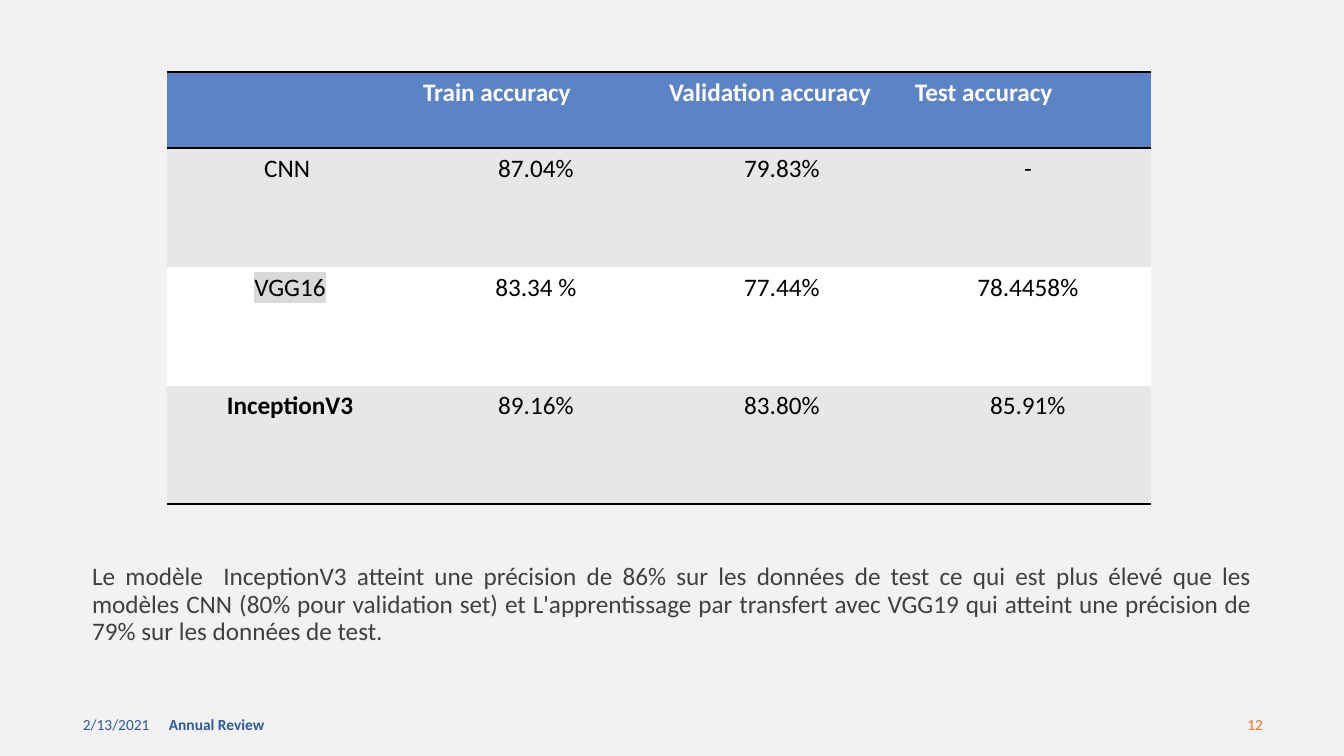
from dataclasses import dataclass

from lxml.etree import SubElement
from pptx import Presentation
from pptx.dml.color import RGBColor
from pptx.enum.text import MSO_ANCHOR, MSO_AUTO_SIZE, PP_ALIGN
from pptx.oxml.ns import qn
from pptx.util import Emu, Pt


@dataclass(frozen=True)
class Theme:
    font: str = "Calibri"
    text_size: int = 18
    footer_size: int = 11
    background: str = "F2F2F2"
    header: str = "5C83C4"
    band: str = "E7E7E7"
    plain: str = "FFFFFF"
    ink: str = "000000"
    body: str = "404040"
    footer: str = "2C599D"
    number: str = "FA6F1A"
    highlight: str = "D9D9D9"
    rule_width: int = 2


theme = Theme()
NO_GRID_STYLE = "{2D5ABB26-0587-4C30-8999-92F81FD0307C}"


def px(length):
    return Emu(round(length * 12192000 / 1344))


def write(frame, text, size, color, bold=False, align=PP_ALIGN.LEFT):
    frame.text = text
    paragraph = frame.paragraphs[0]
    paragraph.alignment = align
    for run in paragraph.runs:
        run.font.name = theme.font
        run.font.size = Pt(size)
        run.font.bold = bold
        run.font.color.rgb = RGBColor.from_string(color)
    return paragraph


presentation = Presentation()
presentation.slide_width = px(1344)
presentation.slide_height = px(756)
slide = presentation.slides.add_slide(presentation.slide_layouts[1])
slide.background.fill.solid()
slide.background.fill.fore_color.rgb = RGBColor.from_string(theme.background)
title = slide.shapes.title
title.element.getparent().remove(title.element)

footers = [
    (73, 302, "2/13/2021", theme.footer, False, PP_ALIGN.LEFT),
    (159, 454, "Annual Review", theme.footer, True, PP_ALIGN.LEFT),
    (971, 302, "12", theme.number, False, PP_ALIGN.RIGHT),
]
for left, width, text, color, bold, align in footers:
    footer = slide.shapes.add_textbox(px(left), px(704), px(width), px(40)).text_frame
    footer.word_wrap = True
    footer.vertical_anchor = MSO_ANCHOR.MIDDLE
    write(footer, text, theme.footer_size, color, bold, align)

accuracies = [
    ("", "Train accuracy", "Validation accuracy", "Test accuracy"),
    ("CNN ", "87.04%", "79.83%", "-"),
    ("VGG16", "83.34 %", "77.44%", "78.4458%"),
    ("InceptionV3", "89.16%", "83.80%", "85.91%"),
]
row_heights = [76, 119, 119, 118]
row_fills = [theme.header, theme.band, theme.plain, theme.band]
row_rules = [("a:lnT", "a:lnB"), (), (), ("a:lnB",)]

comparison = slide.shapes.add_table(4, 4, px(167), px(72), px(984), px(432)).table
comparison._tbl.tblPr.find(qn("a:tableStyleId")).text = NO_GRID_STYLE
for column in comparison.columns:
    column.width = px(246)

for r, values in enumerate(accuracies):
    comparison.rows[r].height = px(row_heights[r])
    is_header = r == 0
    for c, value in enumerate(values):
        cell = comparison.cell(r, c)
        for edge in row_rules[r]:
            rule = SubElement(cell._tc.get_or_add_tcPr(), qn(edge), w=str(Pt(theme.rule_width)))
            SubElement(SubElement(rule, qn("a:solidFill")), qn("a:srgbClr"), val=theme.ink)
        cell.fill.solid()
        cell.fill.fore_color.rgb = RGBColor.from_string(row_fills[r])
        if not value:
            continue
        label = write(
            cell.text_frame,
            value,
            theme.text_size,
            theme.plain if is_header else theme.ink,
            is_header or value == "InceptionV3",
            PP_ALIGN.LEFT if is_header else PP_ALIGN.CENTER,
        )
        if value == "VGG16":
            properties = label.runs[0].font._element
            marker = SubElement(properties, qn("a:highlight"))
            SubElement(marker, qn("a:srgbClr"), val=theme.highlight)
            properties.find(qn("a:solidFill")).addnext(marker)

conclusion = slide.placeholders[1]
conclusion.left, conclusion.top = px(82), px(559)
conclusion.width, conclusion.height = px(1180), px(136)
conclusion.text_frame.auto_size = MSO_AUTO_SIZE.NONE
summary = write(
    conclusion.text_frame,
    "Le modèle  InceptionV3 atteint une précision de 86% sur les données de test "
    "ce qui est plus élevé que les modèles CNN (80% pour validation set) et "
    "L'apprentissage par transfert avec VGG19 qui atteint une précision de 79% "
    "sur les données de test.",
    theme.text_size,
    theme.body,
    align=PP_ALIGN.JUSTIFY,
)
summary.line_spacing = 0.9
summary.space_before = Pt(10)
indents = summary._p.get_or_add_pPr()
indents.set("marL", "0")
indents.set("indent", "0")
SubElement(indents, qn("a:buNone"))

presentation.save("out.pptx")
